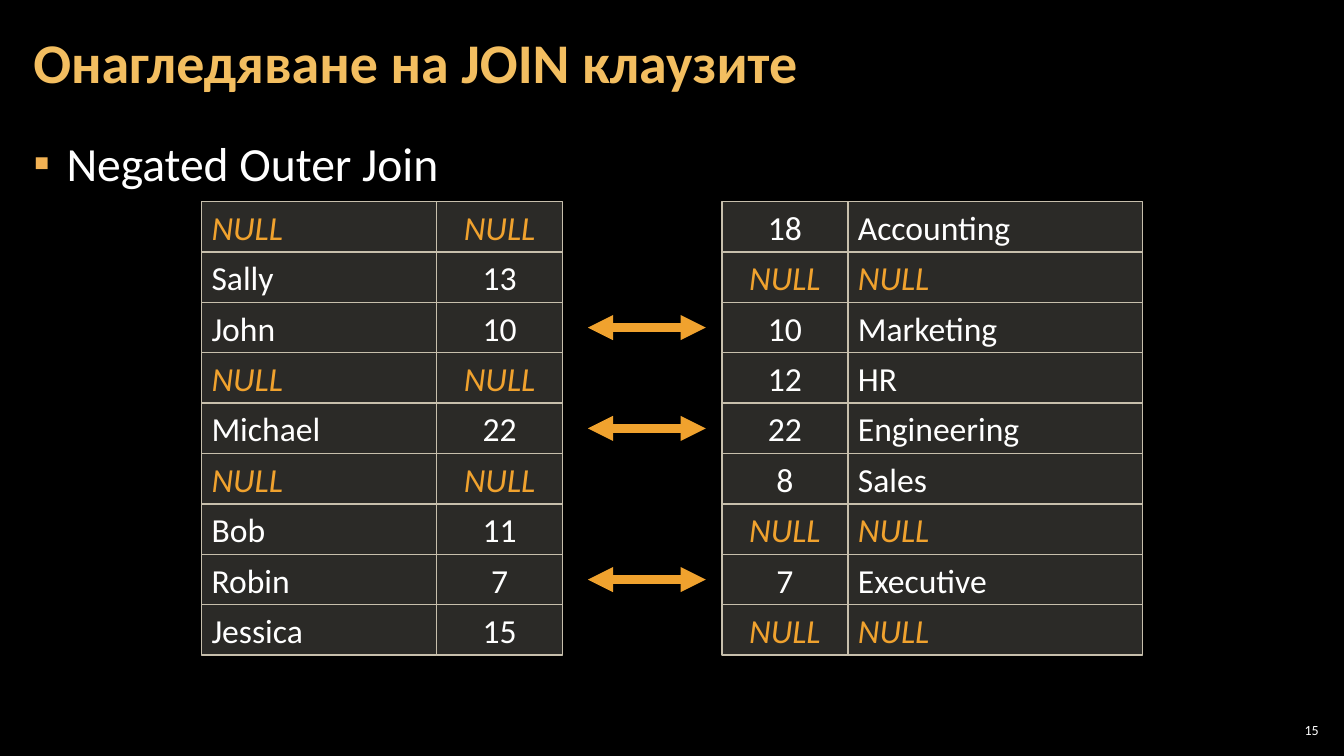
from lxml import etree
from pptx import Presentation
from pptx.dml.color import RGBColor
from pptx.enum.shapes import MSO_CONNECTOR as Connector, MSO_SHAPE as Shape
from pptx.enum.text import MSO_ANCHOR as Anchor, PP_ALIGN as Align
from pptx.oxml.ns import qn
from pptx.util import Inches, Pt

# Content
TITLE = "Онагледяване на JOIN клаузите"
TOPIC = "Negated Outer Join"
PAGE = "15"
NULL = "NULL"
EMPLOYEES = [
    (NULL, NULL), ("Sally", "13"), ("John", "10"),
    (NULL, NULL), ("Michael", "22"), (NULL, NULL),
    ("Bob", "11"), ("Robin", "7"), ("Jessica", "15"),
]
DEPARTMENTS = [
    ("18", "Accounting"), (NULL, NULL), ("10", "Marketing"),
    ("12", "HR"), ("22", "Engineering"), ("8", "Sales"),
    (NULL, NULL), ("7", "Executive"), (NULL, NULL),
]
COLORS = {
    "background": "000000", "title": "F3BE60", "bullet": "F2B254",
    "text": "FFFFFF", "accent": "F0A22E", "cell": "D9D5C7", "border": "C7BFAC",
}

# Layout in inches: each column is (left, width, alignment)
ROWS_TOP, ROW_H = 2, 0.5
EMPLOYEE_COLUMNS = [(2, 2.33, Align.LEFT), (4.33, 1.25, Align.CENTER)]
DEPARTMENT_COLUMNS = [(7.16, 1.25, Align.CENTER), (8.41, 2.92, Align.LEFT)]
ARROW_LEFT, ARROW_RIGHT = 5.83, 7

# Formats
TITLE_FONT = {"size": Pt(40), "bold": True}
TOPIC_FONT = {"size": Pt(34)}
CELL_FONT = {"size": Pt(24)}
NULL_FONT = {"size": Pt(24), "italic": True}
PAGE_FONT = {"size": Pt(10)}


def color(name):
    return RGBColor.from_string(COLORS[name])


def apply(target, values):
    for name, value in values.items():
        setattr(target, name, value)


def write(holder, text, font, color_name, align=Align.LEFT, anchor=Anchor.MIDDLE,
          inset_x=0.1, inset_y=0.05):
    frame = holder.text_frame
    apply(frame, {
        "word_wrap": True, "vertical_anchor": anchor,
        "margin_left": Inches(inset_x), "margin_right": Inches(inset_x),
        "margin_top": Inches(inset_y), "margin_bottom": Inches(inset_y),
    })
    paragraph = frame.paragraphs[0]
    paragraph.alignment = align
    run = paragraph.add_run()
    run.text = text
    apply(run.font, {"name": "Calibri", **font})
    run.font.color.rgb = color(color_name)
    return paragraph


def add_bullet(paragraph, char, color_name, indent):
    props = paragraph._p.get_or_add_pPr()
    props.set("marL", str(Inches(indent)))
    props.set("indent", str(-Inches(indent)))
    fill = etree.SubElement(props, qn("a:buClr"))
    etree.SubElement(fill, qn("a:srgbClr"), val=COLORS[color_name])
    etree.SubElement(props, qn("a:buFont"), typeface="Arial")
    etree.SubElement(props, qn("a:buChar"), char=char)


def add_cell(slide, left, top, width, text, align):
    cell = slide.shapes.add_shape(
        Shape.RECTANGLE, Inches(left), Inches(top), Inches(width), Inches(ROW_H))
    cell.shadow.inherit = False
    cell.fill.solid()
    cell.fill.fore_color.rgb = color("cell")
    tint = cell._element.spPr.find(qn("a:solidFill")).find(qn("a:srgbClr"))
    etree.SubElement(tint, qn("a:alpha"), val="20000")
    cell.line.color.rgb = color("border")
    cell.line.width = Pt(1)
    font, tone = (NULL_FONT, "accent") if text == NULL else (CELL_FONT, "text")
    write(cell, text, font, tone, align)


def add_match_arrow(slide, y):
    arrow = slide.shapes.add_connector(
        Connector.STRAIGHT, Inches(ARROW_LEFT), Inches(y), Inches(ARROW_RIGHT), Inches(y))
    arrow.line.color.rgb = color("accent")
    arrow.line.width = Pt(6)
    line = arrow.line._get_or_add_ln()
    for end in ("a:headEnd", "a:tailEnd"):
        etree.SubElement(line, qn(end), type="triangle")
    etree.SubElement(arrow._element.spPr, qn("a:effectLst"))


def main():
    deck = Presentation()
    deck.slide_width, deck.slide_height = Inches(13.33), Inches(7.5)
    slide = deck.slides.add_slide(deck.slide_layouts[6])
    slide.background.fill.solid()
    slide.background.fill.fore_color.rgb = color("background")

    def add_box(*place):
        return slide.shapes.add_textbox(*map(Inches, place))

    # Topic bullet and title
    topic = write(add_box(0.21, 1.26, 12.91, 6.09), TOPIC, TOPIC_FONT, "text",
                  anchor=Anchor.TOP, inset_x=0.12, inset_y=0.04)
    add_bullet(topic, "▪", "bullet", 0.33)
    apply(topic, {"line_spacing": 1.05, "space_after": Pt(6)})
    title = write(add_box(0.21, 0.04, 12.91, 1.21), TITLE, TITLE_FONT, "title",
                  inset_x=0.12, inset_y=0.04)
    title.line_spacing = 0.9

    # Employee and department grids
    for rows, columns in ((EMPLOYEES, EMPLOYEE_COLUMNS),
                          (DEPARTMENTS, DEPARTMENT_COLUMNS)):
        for index, row in enumerate(rows):
            for text, (left, width, align) in zip(row, columns):
                add_cell(slide, left, ROWS_TOP + index * ROW_H, width, text, align)

    # Arrows between rows with the same department number
    for index, (employee, department) in enumerate(zip(EMPLOYEES, DEPARTMENTS)):
        if employee[1] == department[0] != NULL:
            add_match_arrow(slide, ROWS_TOP + (index + 0.5) * ROW_H)

    # Page number
    write(add_box(12.65, 7.14, 0.47, 0.21), PAGE, PAGE_FONT, "text",
          align=Align.RIGHT, inset_x=0.04, inset_y=0.04)

    deck.save("out.pptx")


if __name__ == "__main__":
    main()
